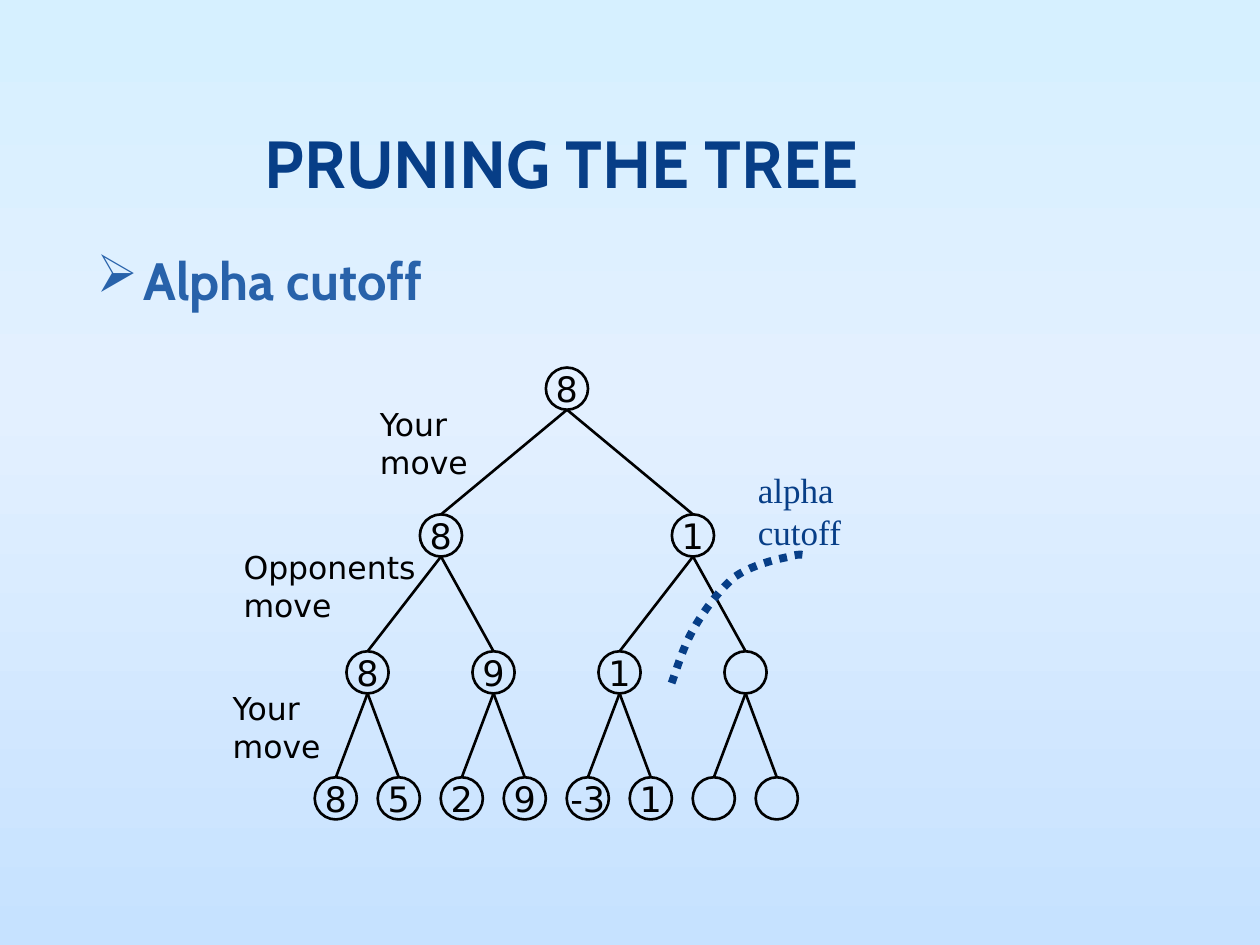
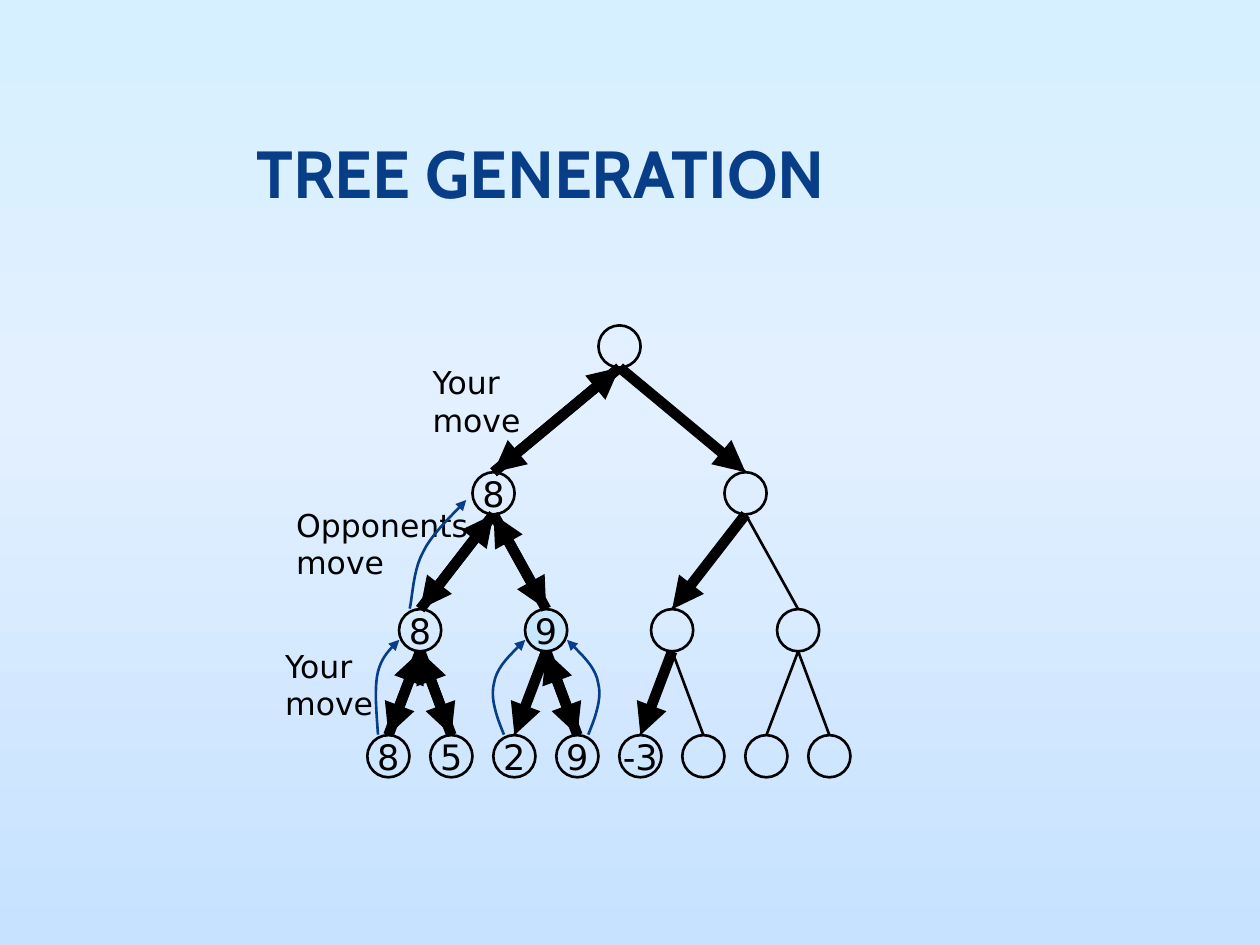
import copy

import pptx
import pptx.dml.color
import pptx.enum.dml
import pptx.enum.shapes
import pptx.enum.text
import pptx.oxml
import pptx.oxml.ns
import pptx.util

Cm, Pt = pptx.util.Cm, pptx.util.Pt
RGBColor = pptx.dml.color.RGBColor
qn = pptx.oxml.ns.qn
ALIGN = pptx.enum.text.PP_ALIGN
ANCHOR = pptx.enum.text.MSO_ANCHOR
AUTO_SIZE = pptx.enum.text.MSO_AUTO_SIZE

# Colours and fonts
BLACK = RGBColor(0x00, 0x00, 0x00)
NAVY = RGBColor(0x07, 0x3E, 0x87)
BLUE = RGBColor(0x28, 0x62, 0xAA)
NODE_TINT = RGBColor(0xC6, 0xE7, 0xFC)
SKY = [(0.02, RGBColor(0xD6, 0xF0, 0xFF)),
       (0.42, RGBColor(0xE3, 0xF0, 0xFF)),
       (1.0, RGBColor(0xC6, 0xE2, 0xFF))]
HEADING_FONT, TREE_FONT, NOTE_FONT = "Cabin", "DejaVu Sans", "Times New Roman"

# Tree geometry in cm, measured from the top centre of the root:
# (first node x, gap between nodes, node top) for each level
NODE = 0.85
LEVELS = [(0, 0, 0), (-2.54, 5.08, 2.96), (-4.02, 2.54, 5.72), (-4.66, 1.27, 8.26)]
MOVES = [("Your", -4.02, 0.63, 2.54),
         ("Your", -6.99, 6.35, 2.54),
         ("Opponents", -6.77, 3.51, 4.45)]


def bezier(points, steps=10):
    """Points along a chain of cubic curves: start, then three per curve."""
    yield points[0]
    for first in range(0, len(points) - 1, 3):
        a, b, c, d = points[first:first + 4]
        for step in range(1, steps + 1):
            t = step / steps
            u = 1 - t
            yield tuple(u**3 * a[i] + 3 * u * u * t * b[i]
                        + 3 * u * t * t * c[i] + t**3 * d[i] for i in (0, 1))


class Deck:
    def __init__(self):
        self.prs = pptx.Presentation()
        self.prs.slide_width, self.prs.slide_height = Cm(25.4), Cm(19.05)
        self.slide = self.canvas = self.root = None
        self.sky()

    def sky(self):
        """Three-stop vertical gradient on the master."""
        master = self.prs.slide_master
        fill = master.background.fill
        fill.gradient()
        fill.gradient_angle = 270
        stops = next(master.element.iter(qn("a:gsLst")))
        stops.append(copy.deepcopy(stops[-1]))
        for stop, (position, color) in zip(fill.gradient_stops, SKY):
            stop.position = position
            stop.color.rgb = color

    def new_slide(self, title, left, top):
        self.slide = self.prs.slides.add_slide(self.prs.slide_layouts[5])
        self.canvas = self.slide.shapes
        heading = self.slide.shapes.title
        heading.left, heading.top = Cm(left), Cm(top)
        heading.width, heading.height = Cm(20.12), Cm(3.18)
        frame = heading.text_frame
        frame.margin_left = frame.margin_right = Cm(0.13)
        frame.margin_top = frame.margin_bottom = 0
        frame.vertical_anchor = ANCHOR.BOTTOM
        frame.paragraphs[0].alignment = ALIGN.CENTER
        self.run(frame.paragraphs[0], title, 38, HEADING_FONT, NAVY, True)

    def start_group(self):
        self.canvas = self.slide.shapes.add_group_shape().shapes

    def end_group(self):
        self.canvas = self.slide.shapes

    def run(self, paragraph, text, size, font, color, bold=False):
        run = paragraph.add_run()
        run.text = text
        run.font.size, run.font.name, run.font.bold = Pt(size), font, bold
        run.font.color.rgb = color

    def label(self, lines, left, top, width, height, size, font, color,
              bold=False, wrap=True):
        box = self.canvas.add_textbox(Cm(left), Cm(top), Cm(width), Cm(height))
        frame = box.text_frame
        frame.word_wrap = wrap
        frame.auto_size = AUTO_SIZE.SHAPE_TO_FIT_TEXT
        paragraph = frame.paragraphs[0]
        for number, line in enumerate(lines):
            if number:
                paragraph.add_line_break()
            self.run(paragraph, line, size, font, color, bold)
        return paragraph

    def bullet(self, text, left, top, width, height):
        paragraph = self.label([text], left, top, width, height, 30,
                               HEADING_FONT, BLUE, bold=True, wrap=False)
        props = paragraph._p.get_or_add_pPr()
        props.set("marL", str(Cm(0.95)))
        props.set("indent", str(-Cm(0.95)))
        mark = pptx.oxml.parse_xml(
            '<a:buChar xmlns:a="http://schemas.openxmlformats.org/'
            'drawingml/2006/main" char="\u27a2"/>')
        props.append(mark)

    def stroke(self, shape, color, width, arrow=False):
        shape.line.color.rgb = color
        shape.line.width = Pt(width)
        if arrow:
            line = shape.element.spPr.find(qn("a:ln"))
            line.append(line.makeelement(qn("a:tailEnd"), {"type": "triangle"}))

    def node_at(self, level, index):
        """Top centre of a node."""
        first, gap, top = LEVELS[level]
        return self.root[0] + first + gap * index, self.root[1] + top

    def node(self, level, index, value, tint=None):
        x, top = self.node_at(level, index)
        circle = self.canvas.add_shape(pptx.enum.shapes.MSO_SHAPE.OVAL,
                                       Cm(x - NODE / 2), Cm(top), Cm(NODE), Cm(NODE))
        circle.shadow.inherit = False
        if tint is None:
            circle.fill.background()
        else:
            circle.fill.solid()
            circle.fill.fore_color.rgb = tint
        self.stroke(circle, BLACK, 1.5)
        if value:
            frame = circle.text_frame
            frame.word_wrap = False
            frame.vertical_anchor = ANCHOR.MIDDLE
            frame.paragraphs[0].alignment = ALIGN.CENTER
            self.run(frame.paragraphs[0], value, 20, TREE_FONT, BLACK)

    def branch(self, level, index, width=1.5, arrow=False, upward=False):
        """Line between a node and its parent."""
        x, bottom = self.node_at(level - 1, index // 2)
        ends = [(x, bottom + NODE), self.node_at(level, index)]
        if upward:
            ends.reverse()
        (x1, y1), (x2, y2) = ends
        line = self.canvas.add_connector(pptx.enum.shapes.MSO_CONNECTOR.STRAIGHT,
                                         Cm(x1), Cm(y1), Cm(x2), Cm(y2))
        self.stroke(line, BLACK, width, arrow)
        props = line.element.spPr
        props.append(props.makeelement(qn("a:effectLst"), {}))

    def curve(self, points, width, arrow=False, dash=None):
        start, *rest = [(Cm(x), Cm(y)) for x, y in bezier(points)]
        builder = self.canvas.build_freeform(*start)
        builder.add_line_segments(rest, close=False)
        shape = builder.convert_to_shape()
        shape.shadow.inherit = False
        shape.fill.background()
        self.stroke(shape, NAVY, width, arrow)
        if dash is not None:
            shape.line.dash_style = dash

    def tree(self, root, values, tinted=()):
        """Nodes level by level, their branches and the move labels."""
        self.root = root
        self.start_group()
        for level, row in enumerate(values):
            for index, value in enumerate(row):
                tint = NODE_TINT if (level, index) in tinted else None
                self.node(level, index, value, tint)
        for level in range(1, len(values)):
            for index in range(len(values[level])):
                self.branch(level, index)
        for player, dx, dy, width in MOVES:
            self.label([player, "move"], root[0] + dx, root[1] + dy, width, 1.8,
                       18, TREE_FONT, BLACK)
        self.end_group()


deck = Deck()

# Slide 1: alpha cutoff
deck.new_slide("PRUNING THE TREE", 1.27, 0.89)
deck.bullet("Alpha cutoff", 1.7, 4.88, 7.62, 1.55)
deck.tree((11.43, 7.41), [["8"],
                          ["8", "1"],
                          ["8", "9", "1", ""],
                          ["8", "5", "2", "9", "-3", "1", "", ""]])

deck.start_group()
deck.curve([(13.54, 13.77), (13.67, 13.41), (13.77, 13.06), (13.97, 12.7),
            (14.17, 12.34), (14.5, 11.89), (14.81, 11.63),
            (15.14, 11.4), (15.62, 11.28), (15.88, 11.23),
            (16.13, 11.15), (16.21, 11.18), (16.31, 11.23)],
           4.5, dash=pptx.enum.dml.MSO_LINE.ROUND_DOT)
deck.label(["alpha", "cutoff"], 15.03, 9.32, 2.75, 1.96, 20, NOTE_FONT, NAVY)
deck.end_group()

# Slide 2: order in which the tree is generated
deck.new_slide("TREE GENERATION", 0.84, 1.09)
deck.tree((12.49, 6.56), [[""],
                          ["8", ""],
                          ["8", "9", "", ""],
                          ["8", "5", "2", "9", "-3", "", "", ""]],
          tinted=[(2, 1)])

# Search steps down to a node, and values handed back up
visited = [(1, 0), (2, 0), (3, 0), (3, 1), (2, 1), (3, 2), (3, 3),
           (1, 1), (2, 2), (3, 4)]
returned = [(3, 0), (3, 1), (2, 0), (3, 3), (2, 1), (1, 0)]
for upward, steps in ((False, visited), (True, returned)):
    for level, index in steps:
        deck.branch(level, index, 6, arrow=True, upward=upward)

# Values carried to the parent; the pair around 9 is symmetric
from_2 = [(10.16, 14.81), (10.01, 14.45), (9.88, 14.07), (9.96, 13.77),
          (10.01, 13.44), (10.31, 13.18), (10.59, 12.9)]
nine_x = deck.node_at(2, 1)[0]
from_9 = [(2 * nine_x - x, y) for x, y in from_2]
from_8 = [(7.62, 14.81), (7.59, 14.35), (7.54, 13.87), (7.62, 13.54),
          (7.7, 13.23), (7.87, 13.08), (8.05, 12.9)]
to_opponent = [(8.26, 12.27), (8.31, 12.09), (8.33, 11.48), (8.53, 11.13),
               (8.71, 10.74), (9.22, 10.29), (9.4, 10.08)]
for carried in (from_8, to_opponent, from_2, from_9):
    deck.curve(carried, 1.5, arrow=True)

deck.prs.save("out.pptx")
